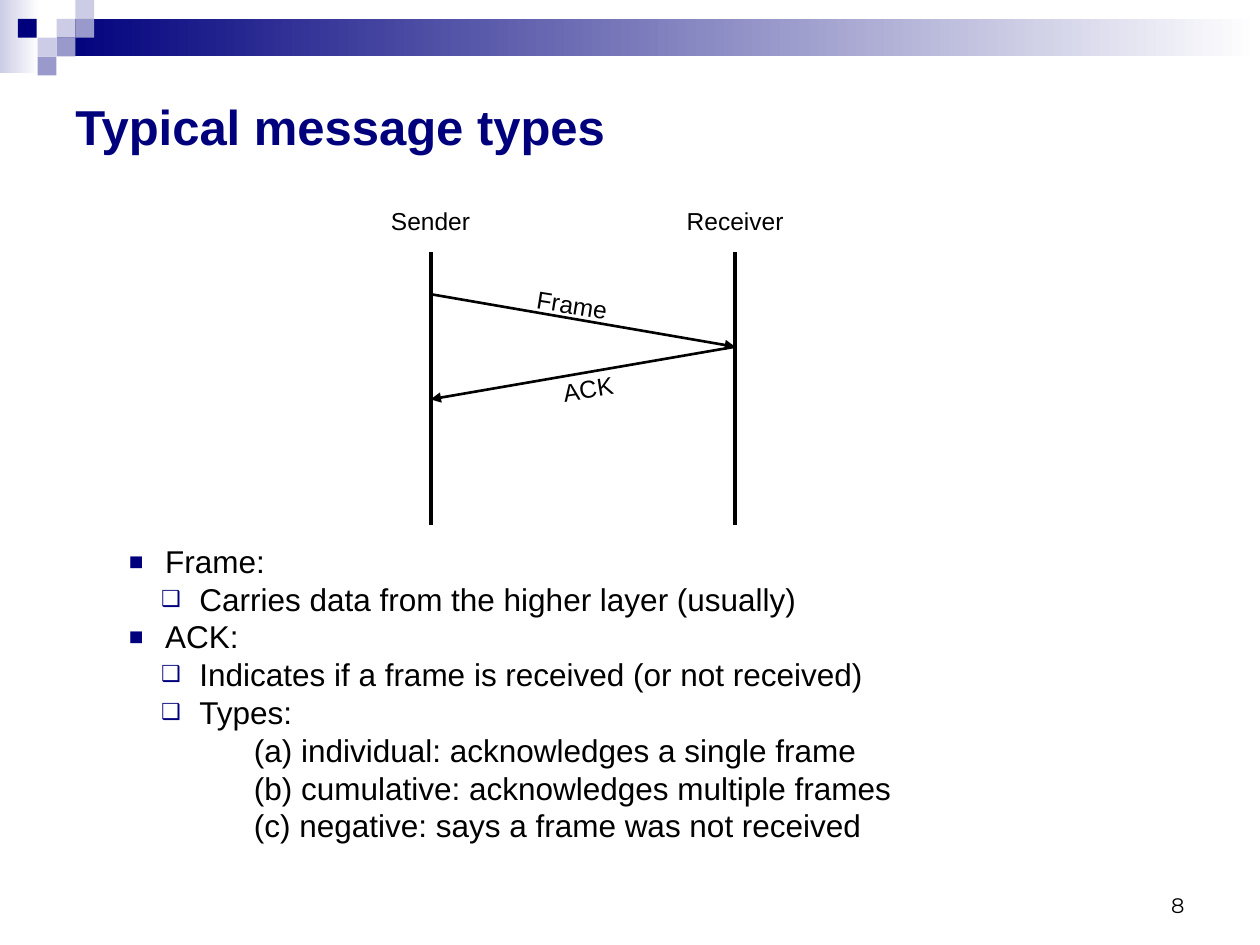
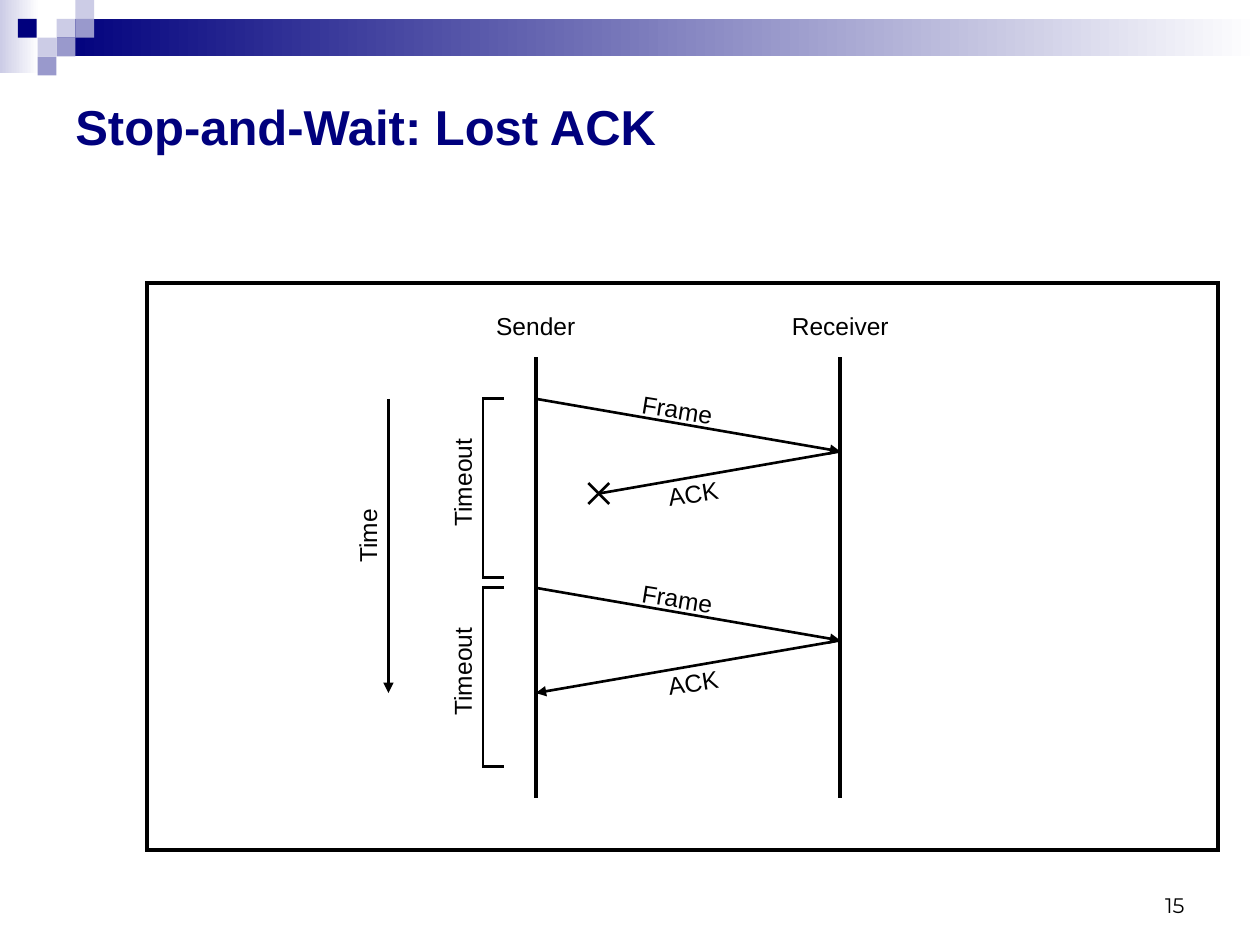
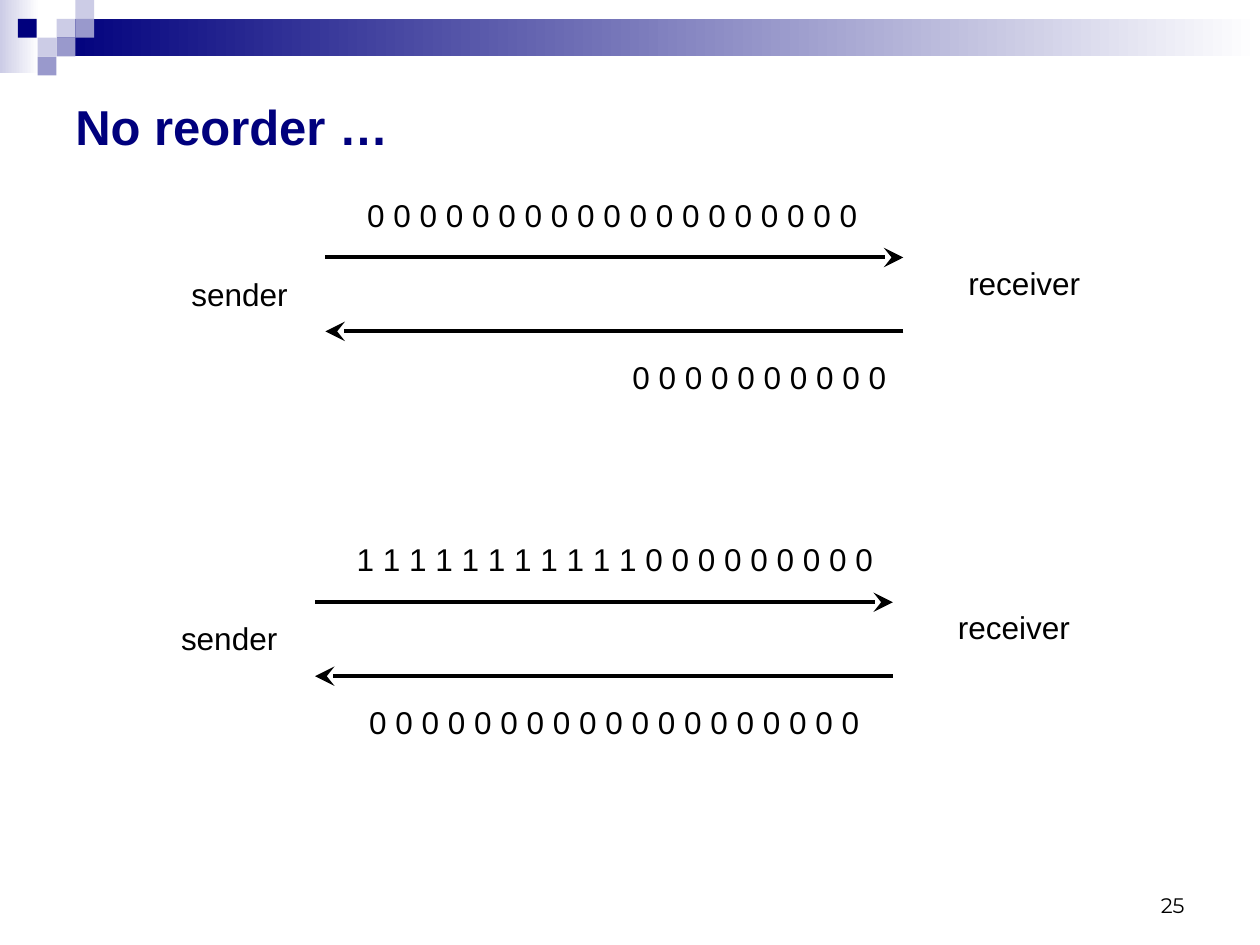
from lxml.etree import SubElement
from pptx import Presentation
from pptx.dml.color import RGBColor
from pptx.enum.shapes import MSO_CONNECTOR as Connector, MSO_SHAPE as Shape
from pptx.enum.text import MSO_ANCHOR as Anchor, PP_ALIGN as Align
from pptx.oxml.ns import qn
from pptx.util import Cm, Pt

NAVY, LILAC, PALE, WHITE, BLACK = "00007D", "9999CC", "CCCCE6", "FFFFFF", "000000"
THICK, THIN = 2.25, 1.5

# Header mosaic: column and row in units of one square
SQUARE = 0.38
MOSAIC = [(3, 1, PALE), (4, 0, PALE), (4, 1, LILAC), (2, 2, PALE),
          (0.95, 1, NAVY), (3, 2, LILAC), (2, 3, LILAC)]

# Sequence diagram measures, in cm
LIFELINE_GAP = 6.14
MESSAGE_DROP = 1.06
LABEL_WIDTH, LABEL_HEIGHT = 3.81, 0.86

# Bullet levels: left margin, first-line indent, symbol, symbol size in percent
LEVELS = [(0.75, -0.75, "▪", 150), (1.44, -0.77, "❑", 70), (2.54, 0, None, None)]


def colour(value):
    return RGBColor.from_string(value)


class Deck:
    """Holds the style and the current slide; all lengths are in cm."""

    def __init__(self):
        self.presentation = Presentation()
        self.presentation.slide_width = Cm(25.4)
        self.presentation.slide_height = Cm(19.05)
        self.slide = None

    # Shared parts
    def add_slide(self, title, number):
        self.slide = self.presentation.slides.add_slide(self.presentation.slide_layouts[6])
        self.box(0, 0, 0.79, 1.47, (PALE, WHITE))
        self.box(1.14, SQUARE, 24.26, 2 * SQUARE, (NAVY, WHITE))
        for column, row, fill in MOSAIC:
            self.box(column * SQUARE, row * SQUARE, SQUARE, SQUARE, fill)
        self.text(title, 1.27, 1.27, 22.86, 2.54, size=28, ink=NAVY, bold=True,
                  anchor=Anchor.MIDDLE)
        self.text(str(number), 18.21, 17.35, 5.92, 1.27, size=12, font="Montserrat",
                  align=Align.RIGHT, anchor=Anchor.BOTTOM)

    # Basic elements
    def box(self, left, top, width, height, fill, outline=None):
        shape = self.slide.shapes.add_shape(Shape.RECTANGLE, Cm(left), Cm(top),
                                            Cm(width), Cm(height))
        shape.shadow.inherit = False
        if isinstance(fill, tuple):
            shape.fill.gradient()
            shape.fill.gradient_angle = 0
            for stop, value in zip(shape.fill.gradient_stops, fill):
                stop.color.rgb = colour(value)
        else:
            shape.fill.solid()
            shape.fill.fore_color.rgb = colour(fill)
        if outline:
            self.stroke(shape, outline)
        else:
            shape.line.fill.background()

    def stroke(self, shape, width):
        """Draw a black outline with sharp corners and return its element."""
        shape.line.color.rgb = colour(BLACK)
        shape.line.width = Pt(width)
        outline = shape.element.spPr.find(qn("a:ln"))
        SubElement(outline, qn("a:miter"), lim="800000")
        return outline

    def line(self, x1, y1, x2, y2, width=THIN, arrow=None, arrow_size="med"):
        connector = self.slide.shapes.add_connector(Connector.STRAIGHT, Cm(x1), Cm(y1),
                                                    Cm(x2), Cm(y2))
        outline = self.stroke(connector, width)
        if arrow:
            SubElement(outline, qn("a:tailEnd"), type=arrow, w=arrow_size, len=arrow_size)
        SubElement(connector.element.spPr, qn("a:effectLst"))

    def style(self, paragraph, size, font="Arial", ink=BLACK, bold=False):
        paragraph.font.size = Pt(size)
        paragraph.font.name = font
        paragraph.font.bold = bold
        paragraph.font.color.rgb = colour(ink)

    def text(self, words, left, top, width, height=1.02, size=18, font="Arial", ink=BLACK,
             bold=False, align=Align.LEFT, anchor=Anchor.TOP, rotation=0):
        shape = self.slide.shapes.add_textbox(Cm(left), Cm(top), Cm(width), Cm(height))
        shape.rotation = rotation
        frame = shape.text_frame
        frame.word_wrap = True
        frame.vertical_anchor = anchor
        paragraph = frame.paragraphs[0]
        paragraph.text = words
        paragraph.alignment = align
        self.style(paragraph, size, font, ink, bold)

    def label(self, words, left, top, rotation=0):
        self.text(words, left, top, LABEL_WIDTH, LABEL_HEIGHT, size=14,
                  align=Align.CENTER, rotation=rotation)

    def bullets(self, items, left, top, width, height):
        frame = self.slide.shapes.add_textbox(Cm(left), Cm(top), Cm(width),
                                              Cm(height)).text_frame
        frame.word_wrap = True
        for index, (level, words) in enumerate(items):
            paragraph = frame.add_paragraph() if index else frame.paragraphs[0]
            paragraph.text = words
            paragraph.line_spacing = Pt(21.6)
            margin, indent, symbol, percent = LEVELS[level]
            properties = paragraph._p.get_or_add_pPr()
            properties.set("marL", str(Cm(margin)))
            properties.set("indent", str(Cm(indent)))
            if symbol:
                tint = SubElement(properties, qn("a:buClr"))
                SubElement(tint, qn("a:srgbClr"), val=NAVY)
                SubElement(properties, qn("a:buSzPct"), val=str(percent * 1000))
                SubElement(properties, qn("a:buFont"), typeface="Arial")
                SubElement(properties, qn("a:buChar"), char=symbol)
            else:
                SubElement(properties, qn("a:buNone"))
            self.style(paragraph, 18)

    # Sequence diagram
    def lifelines(self, sender, top, length):
        for name, x in (("Sender", sender), ("Receiver", sender + LIFELINE_GAP)):
            self.line(x, top, x, top + length, THICK)
            self.label(name, x - LABEL_WIDTH / 2, top - 1.06)

    def frame_and_ack(self, sender, top, lost=False):
        receiver, middle = sender + LIFELINE_GAP, top + MESSAGE_DROP
        self.line(sender, top, receiver, middle, arrow="triangle")
        self.label("Frame", sender + 0.95, top - 0.21, 9.2)
        self.label("ACK", sender + 1.27, middle + 0.42, 351.1)
        if lost:
            x, y, arm = sender + 1.27, middle + 0.85, 0.21
            self.line(receiver, middle, x, y)
            self.line(x - arm, y - arm, x + arm, y + arm)
            self.line(x + arm, y - arm, x - arm, y + arm)
        else:
            self.line(receiver, middle, sender, middle + MESSAGE_DROP, arrow="triangle")

    def timeout(self, sender, top):
        inner, outer, bottom = Cm(sender - 0.64), Cm(sender - 1.06), Cm(top + 3.6)
        builder = self.slide.shapes.build_freeform(inner, Cm(top))
        builder.add_line_segments([(outer, Cm(top)), (outer, bottom), (inner, bottom)],
                                  close=False)
        bracket = builder.convert_to_shape()
        bracket.shadow.inherit = False
        bracket.fill.background()
        self.stroke(bracket, THIN)
        self.label("Timeout", sender - 3.38, top + 1.26, 270)

    # Bit streams between two ends
    def bits(self, digits, left, top):
        self.text(" ".join(digits), left, top, 0.53 * len(digits) + 0.8)

    def exchange(self, left, top, sent, returned, returned_left):
        right, back = left + 11.65, top + 1.49
        self.text("sender", left - 2.95, top + 0.22, 2.9)
        self.text("receiver", left + 12.71, top, 3.2)
        self.line(left, top, right, top, THICK, "stealth", "lg")
        self.line(right, back, left, back, THICK, "stealth", "lg")
        self.bits(sent, left + 0.59, top - 1.37)
        self.bits(returned, returned_left, top + 1.9)


def main():
    deck = Deck()

    # Message types
    deck.add_slide("Typical message types", 8)
    deck.lifelines(8.68, 5.08, 5.5)
    deck.frame_and_ack(8.68, 5.93)
    deck.bullets([
        (0, "Frame:"),
        (1, "Carries data from the higher layer (usually)"),
        (0, "ACK:"),
        (1, "Indicates if a frame is received (or not received)"),
        (1, "Types:"),
        (2, "(a) individual: acknowledges a single frame"),
        (2, "(b) cumulative: acknowledges multiple frames"),
        (2, "(c) negative: says a frame was not received"),
    ], 2.33, 10.8, 20.37, 6.35)

    # Lost acknowledgement
    deck.add_slide("Stop-and-Wait: Lost ACK", 15)
    deck.box(2.96, 5.71, 21.59, 11.43, WHITE, THICK)
    sender = 10.8
    deck.lifelines(sender, 7.2, 8.89)
    deck.line(7.83, 8.04, 7.83, 13.97, arrow="triangle")
    deck.label("Time", 5.51, 10.37, 270)
    for top, lost in ((8.04, True), (11.85, False)):
        deck.frame_and_ack(sender, top, lost)
        deck.timeout(sender, top)

    # Bit streams
    deck.add_slide("No reorder …", 25)
    deck.exchange(6.56, 5.19, "0" * 19, "0" * 10, 12.5)
    deck.exchange(6.35, 12.14, "1" * 11 + "0" * 9, "0" * 19, 7.19)

    deck.presentation.save("out.pptx")


if __name__ == "__main__":
    main()
